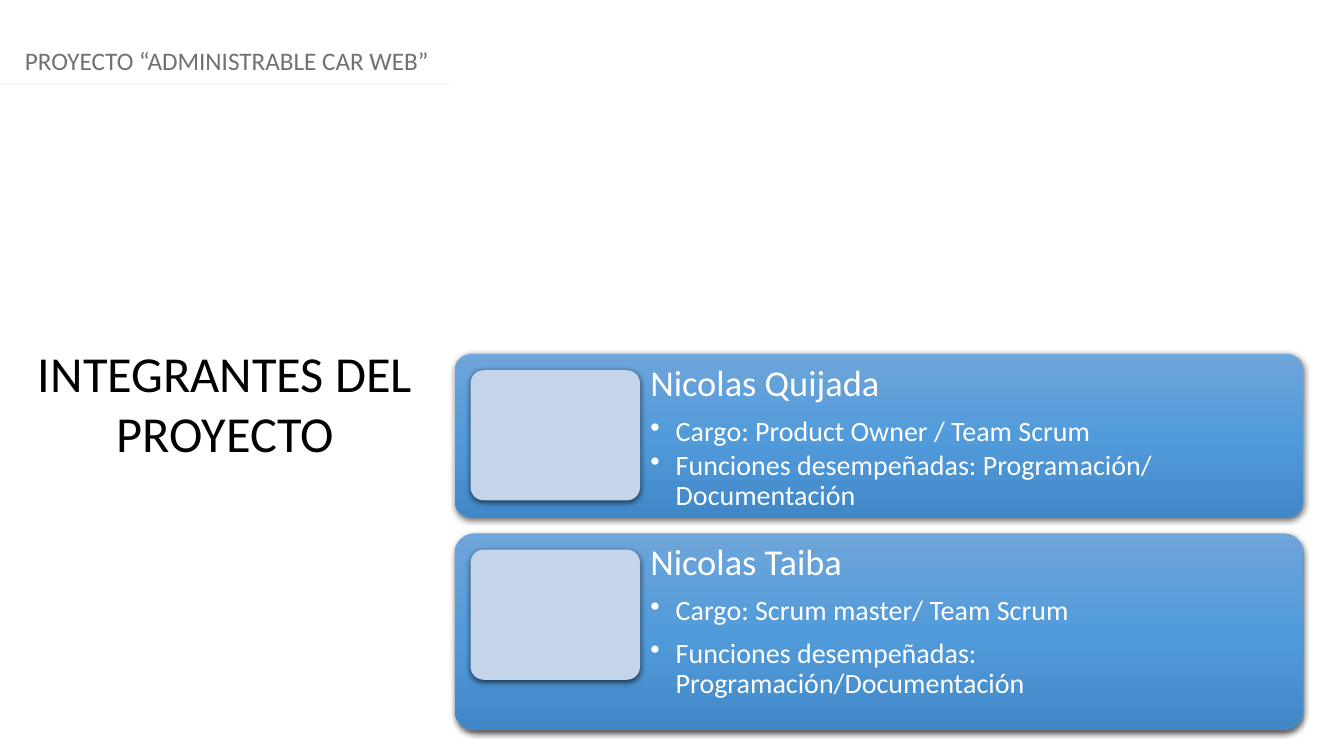
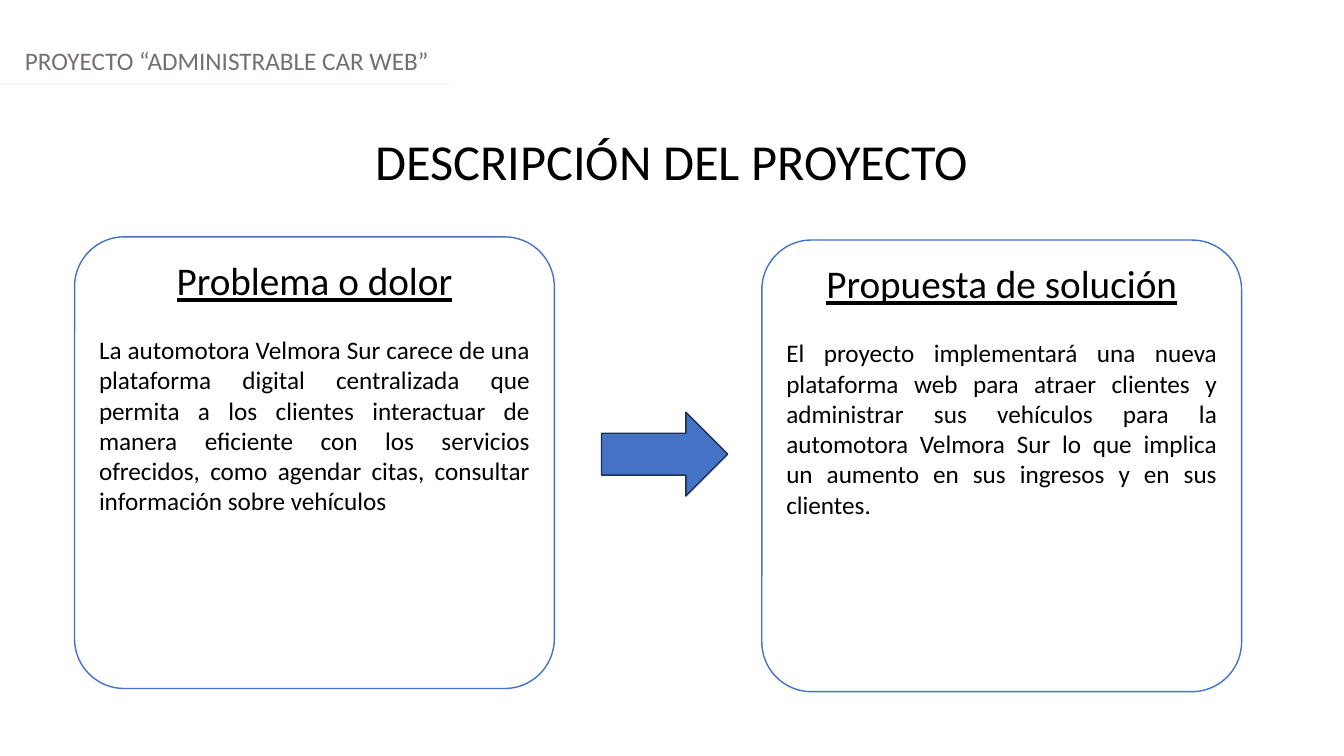
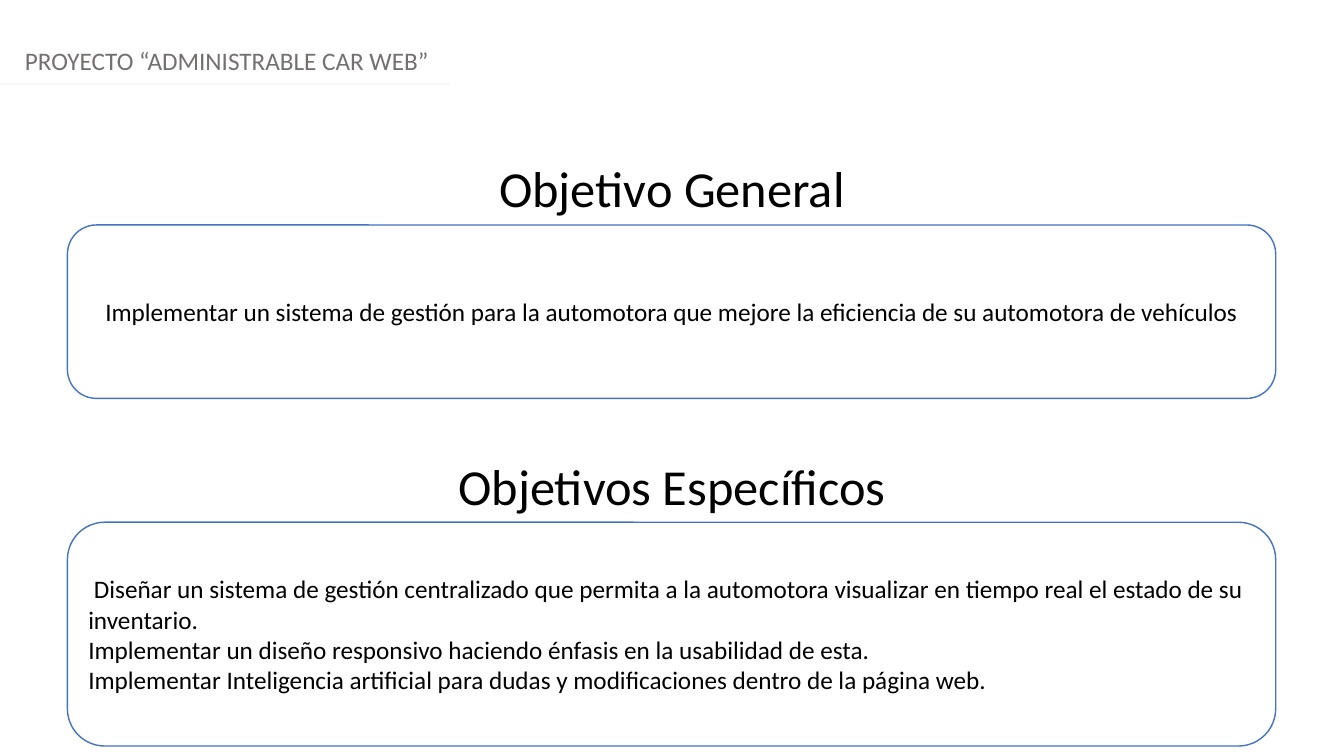
from copy import deepcopy

from lxml import etree
from pptx import Presentation
from pptx.dml.color import RGBColor
from pptx.enum.shapes import MSO_CONNECTOR, MSO_SHAPE
from pptx.enum.text import MSO_ANCHOR, PP_ALIGN as AL
from pptx.oxml.ns import qn
from pptx.util import Cm, Pt

FONT = "Calibri"
BLACK, WHITE, GRAY = "000000", "FFFFFF", "757070"
BLUE, NAVY, PALE, RULE = "4472C4", "1C3052", "C3D4EB", "F5F7FC"
CARD_STOPS = ((0, "6EA5DA"), (0.5, "529BDA"), (1, "4188C8"))
SLIDE_W, SLIDE_H = 33.87, 19.05


def rgb(color):
    return RGBColor.from_string(color)


def set_frame(sp, inset=(0.25, 0.13), anchor=MSO_ANCHOR.TOP):
    tf = sp.text_frame
    tf.word_wrap = True
    tf.vertical_anchor = anchor
    tf.margin_left = tf.margin_right = Cm(inset[0])
    tf.margin_top = tf.margin_bottom = Cm(inset[1])
    return tf


def add_par(tf, text, size, color=BLACK, align=AL.LEFT, before=0, underline=False):
    first = tf.paragraphs[0]
    p = tf.add_paragraph() if first.runs else first
    p.alignment = align
    p.space_before = Pt(before)
    r = p.add_run()
    r.text = text
    r.font.name, r.font.size = FONT, Pt(size)
    r.font.color.rgb = rgb(color)
    r.font.underline = underline
    return p


def add_bullet(p, color):
    pPr = p._p.get_or_add_pPr()
    pPr.set("marL", str(Cm(0.64)))
    pPr.set("indent", str(-Cm(0.64)))
    clr = etree.SubElement(pPr, qn("a:buClr"))
    etree.SubElement(clr, qn("a:srgbClr"), val=color)
    etree.SubElement(pPr, qn("a:buChar"), char="•")


def text_box(s, x, y, w, h, **frame):
    return set_frame(s.shapes.add_textbox(Cm(x), Cm(y), Cm(w), Cm(h)), **frame)


def add_block(s, kind, x, y, w, h, fill=None, line=None, adj=None):
    sp = s.shapes.add_shape(kind, Cm(x), Cm(y), Cm(w), Cm(h))
    sp.shadow.inherit = False
    if adj is not None:
        sp.adjustments[0] = adj
    if fill:
        sp.fill.solid()
        sp.fill.fore_color.rgb = rgb(fill)
    if line:
        sp.line.color.rgb = rgb(line)
        sp.line.width = Pt(1)
    else:
        sp.line.fill.background()
    return sp


def add_shadow(sp):
    effects = sp._element.spPr.find(qn("a:effectLst"))
    shadow = etree.SubElement(effects, qn("a:outerShdw"), blurRad=str(Pt(4.5)),
                              dist=str(Pt(1.5)), dir="5400000", rotWithShape="0")
    clr = etree.SubElement(shadow, qn("a:srgbClr"), val=BLACK)
    etree.SubElement(clr, qn("a:alpha"), val="63000")


def add_gradient(sp, stops):
    sp.fill.gradient()
    sp.fill.gradient_angle = 270
    gs_list = sp._element.spPr.find(".//" + qn("a:gsLst"))
    while len(gs_list) < len(stops):
        gs_list.append(deepcopy(gs_list[0]))
    for stop, (position, color) in zip(sp.fill.gradient_stops, stops):
        stop.position = position
        stop.color.rgb = rgb(color)


def new_slide(prs):
    """Blank slide with the project header and its rule."""
    s = prs.slides.add_slide(prs.slide_layouts[6])
    tf = text_box(s, 0.38, 1.02, SLIDE_W, 1.02)
    add_par(tf, "PROYECTO “ADMINISTRABLE CAR WEB”", 18, GRAY)
    rule = s.shapes.add_connector(MSO_CONNECTOR.STRAIGHT, Cm(0), Cm(2.11), Cm(11.35), Cm(2.11))
    rule.line.color.rgb = rgb(RULE)
    rule.line.width = Pt(1.25)
    etree.SubElement(rule._element.spPr, qn("a:effectLst"))
    return s


def add_title(s, text, y, x=0, w=SLIDE_W, h=1.8):
    add_par(text_box(s, x, y, w, h), text, 36, align=AL.CENTER)


def member_card(s, x, y, w, h, name, duties):
    """Gradient card: photo slot on the left, name and (text, gap) duties."""
    card = add_block(s, MSO_SHAPE.ROUNDED_RECTANGLE, x, y, w, h, adj=0.1)
    add_gradient(card, CARD_STOPS)
    photo = add_block(s, MSO_SHAPE.ROUNDED_RECTANGLE, x + 0.4, y + 0.41, 4.27, 3.28, PALE, adj=0.1)
    for sp in (card, photo):
        add_shadow(sp)
    tf = text_box(s, x + 4.65, y, w - 4.68, h, inset=(0.28, 0.28))
    add_par(tf, name, 26, WHITE)
    for text, gap in duties:
        add_bullet(add_par(tf, text, 20, WHITE, before=gap), WHITE)
    for p in tf.paragraphs:
        p.line_spacing = 0.9


def panel(s, x, y, w, h, adj, anchor=MSO_ANCHOR.MIDDLE):
    sp = add_block(s, MSO_SHAPE.ROUNDED_RECTANGLE, x, y, w, h, WHITE, BLUE, adj)
    return set_frame(sp, anchor=anchor)


def topic_panel(s, x, y, w, h, heading, body):
    tf = panel(s, x, y, w, h, 0.11, MSO_ANCHOR.TOP)
    add_par(tf, heading, 28, align=AL.CENTER, underline=True)
    add_par(tf, body, 18, align=AL.JUSTIFY, before=22)


def team_slide(prs):
    s = new_slide(prs)
    add_title(s, "INTEGRANTES DEL PROYECTO", 8.48, x=0.66, w=10.03, h=3.33)
    member_card(s, 11.46, 8.92, 21.39, 4.11, "Nicolas Quijada", [
        ("Cargo: Product Owner / Team Scrum", 9.1),
        ("Funciones desempeñadas: Programación/ Documentación", 3)])
    member_card(s, 11.46, 13.44, 21.39, 4.95, "Nicolas Taiba", [
        ("Cargo: Scrum master/ Team Scrum", 9.1),
        ("Funciones desempeñadas: Programación/Documentación", 9.1)])


def description_slide(prs):
    s = new_slide(prs)
    add_title(s, "DESCRIPCIÓN DEL PROYECTO", 3.15)
    topic_panel(s, 1.88, 5.97, 12.09, 11.38, "Problema o dolor",
                "La automotora Velmora Sur carece de una plataforma digital centralizada que "
                "permita a los clientes interactuar de manera eficiente con los servicios "
                "ofrecidos, como agendar citas, consultar información sobre vehículos")
    topic_panel(s, 19.2, 6.05, 12.09, 11.38, "Propuesta de solución",
                "El proyecto implementará una nueva plataforma web para atraer clientes y "
                "administrar sus vehículos para la automotora Velmora Sur lo que implica un "
                "aumento en sus ingresos y en sus clientes.")
    add_block(s, MSO_SHAPE.RIGHT_ARROW, 15.16, 10.39, 3.18, 2.11, BLUE, NAVY)


def goals_slide(prs):
    s = new_slide(prs)
    sections = [
        ("Objetivo General", 3.84, 4.37, AL.CENTER, [
            "Implementar un sistema de gestión para la automotora que mejore la eficiencia "
            "de su automotora de vehículos"]),
        ("Objetivos Específicos", 11.33, 5.64, AL.LEFT, [
            " Diseñar un sistema de gestión centralizado que permita a la automotora "
            "visualizar en tiempo real el estado de su inventario.",
            "Implementar un diseño responsivo haciendo énfasis en la usabilidad de esta.",
            "Implementar Inteligencia artificial para dudas y modificaciones dentro de la "
            "página web."]),
    ]
    for title, y, h, align, goals in sections:
        add_title(s, title, y)
        tf = panel(s, 1.7, y + 1.83, 30.45, h, 0.167)
        for goal in goals:
            add_par(tf, goal, 18, align=align)


def main():
    prs = Presentation()
    prs.slide_width, prs.slide_height = Cm(SLIDE_W), Cm(SLIDE_H)
    team_slide(prs)
    description_slide(prs)
    goals_slide(prs)
    prs.save("out.pptx")


if __name__ == "__main__":
    main()
